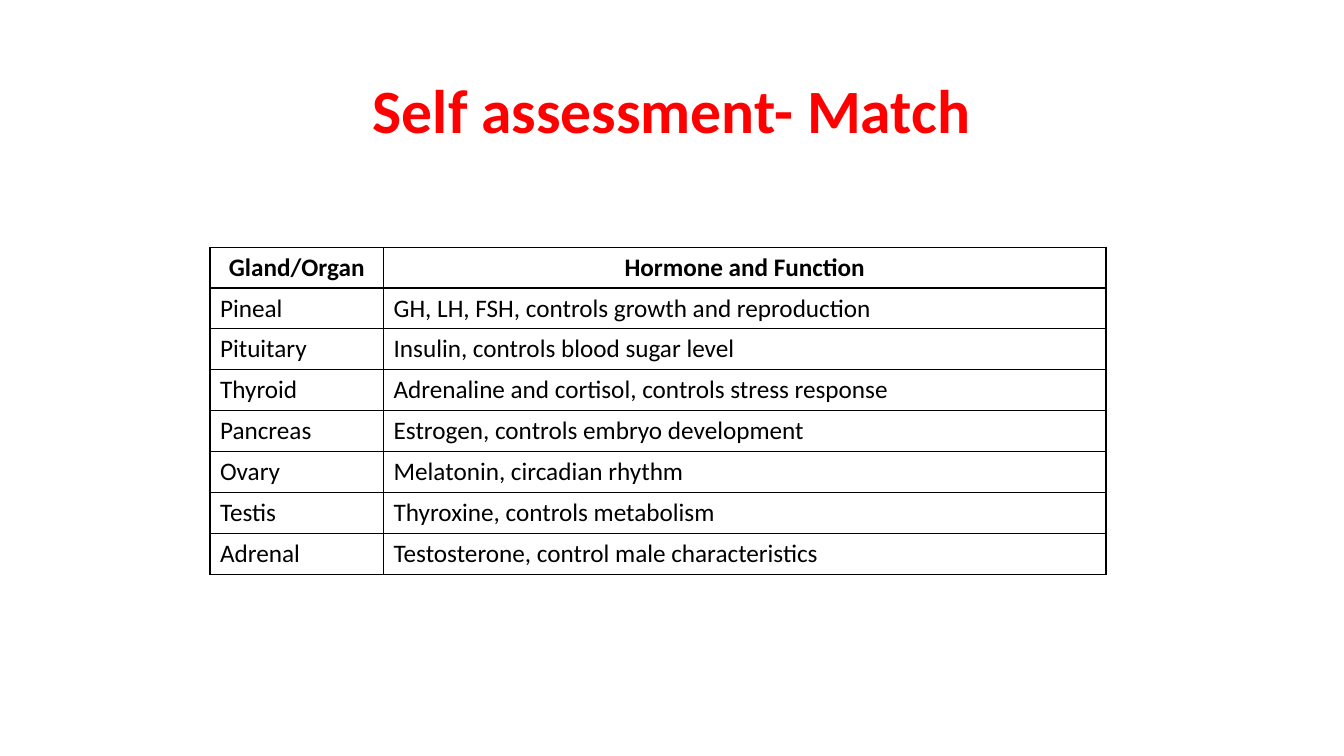
import pptx
import pptx.util
import pptx.dml.color
import pptx.enum.text
import pptx.oxml
import pptx.oxml.ns
import lxml.etree

Pt = pptx.util.Pt
ALIGN = pptx.enum.text.PP_ALIGN
ANCHOR = pptx.enum.text.MSO_ANCHOR
FONT = "Calibri"
COLORS = {"title": "FF0000", "text": "000000", "line": "000000"}
ROWS = [
    ("Gland/Organ", "Hormone and Function"),
    ("Pineal", "GH, LH, FSH, controls growth and reproduction"),
    ("Pituitary", "Insulin, controls blood sugar level"),
    ("Thyroid", "Adrenaline and cortisol, controls stress response"),
    ("Pancreas", "Estrogen, controls embryo development"),
    ("Ovary", "Melatonin, circadian rhythm"),
    ("Testis", "Thyroxine, controls metabolism"),
    ("Adrenal", "Testosterone, control male characteristics"),
]
WIDTHS = (124, 516)
HEIGHT = 29.2


def add_text(para, text, size, color, bold, align):
    para.alignment = align
    run = para.add_run()
    run.text = text
    run.font.name = FONT
    run.font.size = Pt(size)
    run.font.bold = bold
    run.font.color.rgb = pptx.dml.color.RGBColor.from_string(COLORS[color])


def set_title(slide, text):
    title = slide.shapes.title
    title.left, title.top = Pt(66), Pt(28.75)
    title.width, title.height = Pt(828), Pt(104.4)
    frame = title.text_frame
    frame.word_wrap = True
    frame.vertical_anchor = ANCHOR.MIDDLE
    para = frame.paragraphs[0]
    para.line_spacing = 0.9
    add_text(para, text, 44, "title", True, ALIGN.CENTER)


def set_border(cell):
    props = cell._tc.get_or_add_tcPr()
    qn = pptx.oxml.ns.qn
    for index, side in enumerate(("lnL", "lnR", "lnT", "lnB")):
        line = lxml.etree.Element(qn("a:" + side), w=str(Pt(1)))
        fill = lxml.etree.SubElement(line, qn("a:solidFill"))
        lxml.etree.SubElement(fill, qn("a:srgbClr"), val=COLORS["line"])
        props.insert(index, line)


def fill_cell(cell, text, head):
    cell.fill.background()
    set_border(cell)
    align = ALIGN.CENTER if head else ALIGN.LEFT
    add_text(cell.text_frame.paragraphs[0], text, 18, "text", head, align)


def add_grid(slide, left, top):
    frame = slide.shapes.add_table(
        len(ROWS), len(WIDTHS), Pt(left), Pt(top),
        Pt(sum(WIDTHS)), Pt(HEIGHT * len(ROWS)))
    table = frame.table
    table.horz_banding = False
    for column, width in zip(table.columns, WIDTHS):
        column.width = Pt(width)
    for row, texts in zip(table.rows, ROWS):
        row.height = Pt(HEIGHT)
        for cell, text in zip(row.cells, texts):
            fill_cell(cell, text, texts is ROWS[0])


def main():
    deck = pptx.Presentation()
    deck.slide_width, deck.slide_height = Pt(960), Pt(540)
    slide = deck.slides.add_slide(deck.slide_layouts[5])
    set_title(slide, "Self assessment- Match")
    add_grid(slide, 150, 176.5)
    deck.save("out.pptx")


if __name__ == "__main__":
    main()
